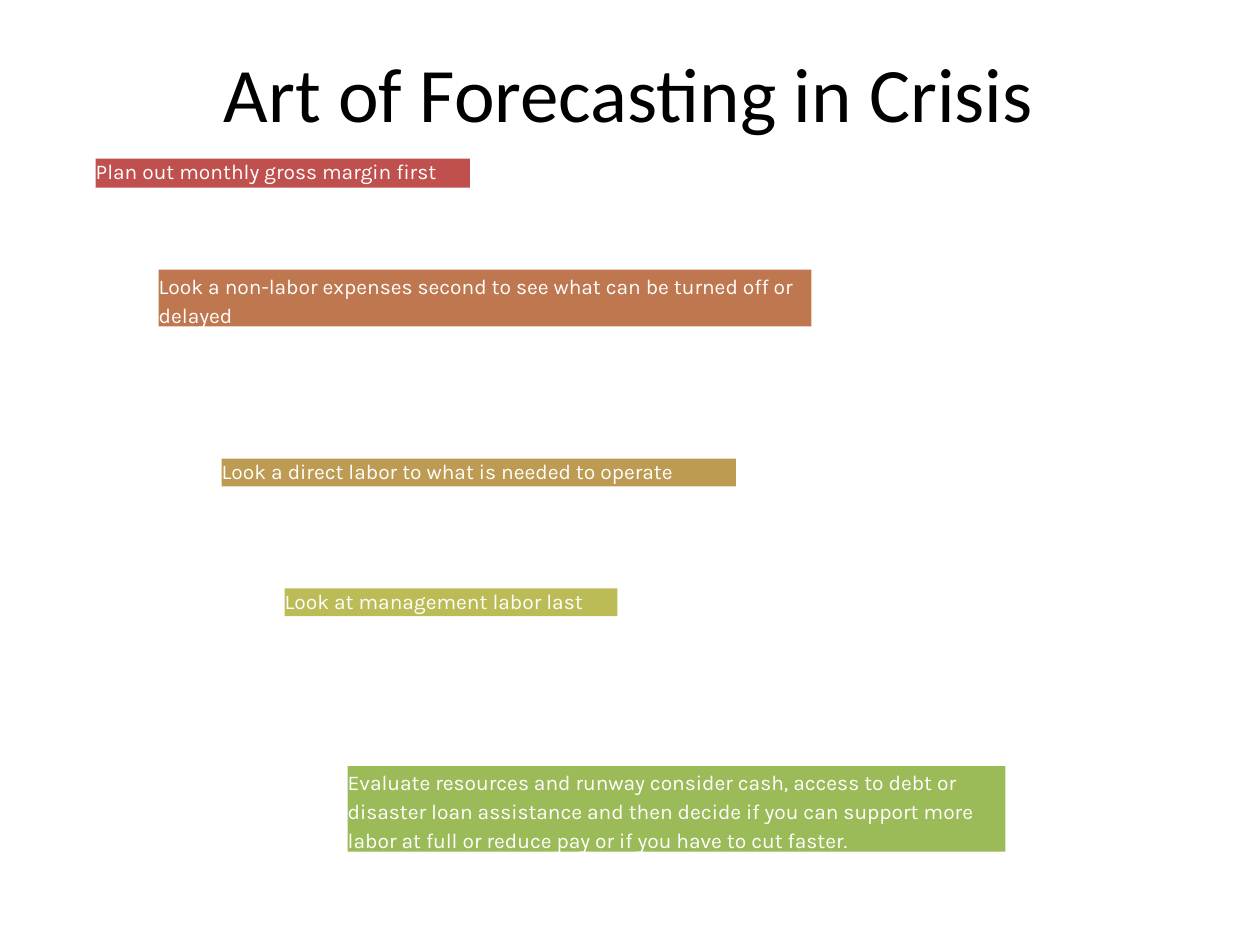
from pptx import Presentation
from pptx.dml.color import RGBColor
from pptx.enum.shapes import MSO_SHAPE as Shape
from pptx.enum.text import MSO_ANCHOR as Anchor, PP_ALIGN as Align
from pptx.util import Inches, Pt

TITLE = "Art of Forecasting in Crisis"
STEPS = [
    ("Plan out monthly gross margin first", 1.26, 2.97, 0.23, 1, "C0504E"),
    ("Look a non-labor expenses second to see what can be turned off or delayed",
     2.14, 5.18, 0.45, 1.15, "BF774F"),
    ("Look a direct labor to what is needed to operate", 3.64, 4.08, 0.22, 1, "BD9B53"),
    ("Look at management labor last", 4.67, 2.64, 0.22, 1, "BBBC56"),
    ("Evaluate resources and runway consider cash, access to debt or disaster loan "
     "assistance and then decide if you can support more labor at full or reduce pay "
     "or if you have to cut faster.", 6.08, 5.22, 0.68, 1.15, "9BBB58"),
]
FIRST_LEFT, INDENT = 0.76, 0.5
FRAME = {"margin_left": 0, "margin_top": 0, "margin_right": 0, "margin_bottom": 0,
         "vertical_anchor": Anchor.TOP}
TITLE_FONT = {"name": "Calibri", "size": Pt(44)}
STEP_FONT = {"name": "Karla", "size": Pt(12)}


def color(value):
    return RGBColor.from_string(value)


def set_all(target, values):
    for name, value in values.items():
        setattr(target, name, value)


def add_box(slide, text, box, fill, font, font_color, paragraph_format, wrap=True):
    shape = slide.shapes.add_shape(Shape.RECTANGLE, *map(Inches, box))
    shape.shadow.inherit = False
    shape.fill.solid()
    shape.fill.fore_color.rgb = color(fill)
    shape.line.fill.background()
    set_all(shape.text_frame, {**FRAME, "word_wrap": wrap})
    paragraph = shape.text_frame.paragraphs[0]
    set_all(paragraph, paragraph_format)
    run = paragraph.add_run()
    run.text = text
    set_all(run.font, font)
    run.font.color.rgb = color(font_color)


def main():
    presentation = Presentation()
    presentation.slide_width, presentation.slide_height = Inches(10), Inches(7.5)
    slide = presentation.slides.add_slide(presentation.slide_layouts[6])
    add_box(slide, TITLE, (1.77, 0.36, 6.44, 0.57), "FFFFFF", TITLE_FONT, "000000",
            {"alignment": Align.CENTER, "space_before": Pt(4.2)}, wrap=False)
    for index, (text, top, width, height, spacing, fill) in enumerate(STEPS):
        box = (FIRST_LEFT + index * INDENT, top, width, height)
        add_box(slide, text, box, fill, STEP_FONT, "FFFFFF",
                {"alignment": Align.LEFT, "line_spacing": spacing})
    presentation.save("out.pptx")


if __name__ == "__main__":
    main()
